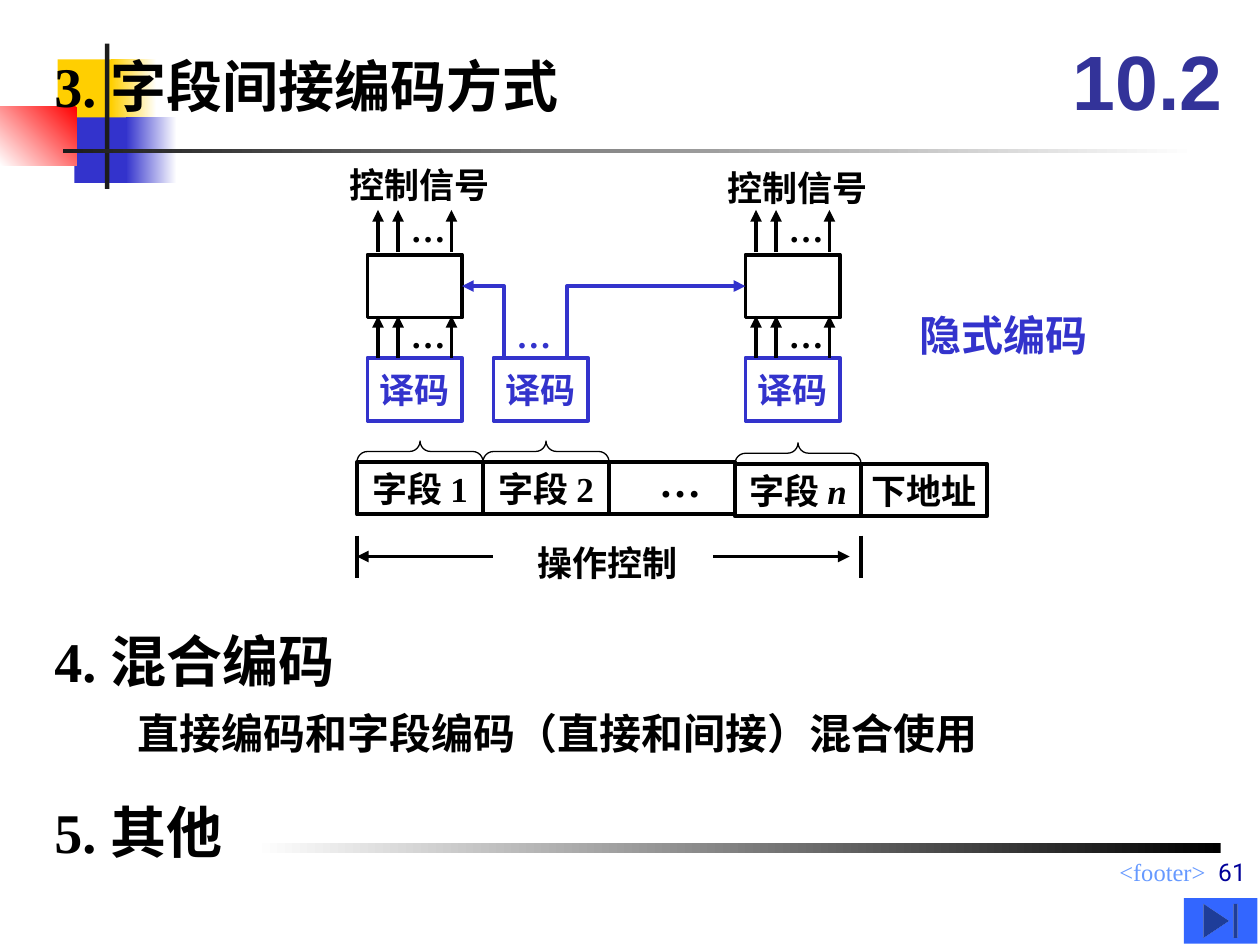
from lxml import etree
from pptx import Presentation
from pptx.dml.color import RGBColor
from pptx.enum.shapes import MSO_CONNECTOR, MSO_SHAPE
from pptx.enum.text import MSO_ANCHOR as Anchor, PP_ALIGN as Align
from pptx.oxml.ns import qn
from pptx.util import Pt

BLACK = RGBColor(0x00, 0x00, 0x00)
WHITE = RGBColor(0xFF, 0xFF, 0xFF)
CHARCOAL = RGBColor(0x1C, 0x1C, 0x1C)
YELLOW = RGBColor(0xFF, 0xCF, 0x01)
RED = RGBColor(0xFF, 0x00, 0x00)
BLUE = RGBColor(0x33, 0x33, 0xCC)
INDIGO = RGBColor(0x33, 0x33, 0x99)
NAVY = RGBColor(0x00, 0x00, 0x99)
SKY = RGBColor(0x66, 0x99, 0xFF)
BUTTON_BLUE = RGBColor(0x33, 0x66, 0xFF)

SERIF = "Times New Roman"
HEADING_FONT = "DejaVu Sans"

CELL_WIDTH, CELL_HEIGHT = 72, 30
FIELDS_LEFT, FIELDS_TOP = 204, 264
BOX_WIDTH, BOX_HEIGHT = 54, 36
DECODER_TOP, UPPER_TOP = 204.5, 145.5
DECODER_LEFTS = (210, 282, 426)


def write(shape, text, size, color, font=SERIF, bold=True, align=Align.LEFT):
    paragraph = shape.text_frame.paragraphs[0]
    paragraph.alignment = align
    paragraph.font.size = Pt(size)
    paragraph.font.bold = bold
    paragraph.font.color.rgb = color
    paragraph.font.name = font
    if text:
        paragraph.add_run().text = text
    return paragraph


def add_text(slide, text, left, top, width, height, size=20, color=BLACK,
             wrap=False, anchor=Anchor.TOP, **style):
    box = slide.shapes.add_textbox(Pt(left), Pt(top), Pt(width), Pt(height))
    box.text_frame.word_wrap = wrap
    box.text_frame.vertical_anchor = anchor
    return write(box, text, size, color, **style)


def add_heading(slide, number, title, top):
    paragraph = add_text(slide, number + " ", 24, top, 600, 46, size=32, wrap=True)
    run = paragraph.add_run()
    run.text = title
    run.font.name = HEADING_FONT


def add_bar(slide, left, top, width, height, color, end_color=None, angle=180):
    bar = slide.shapes.add_shape(MSO_SHAPE.RECTANGLE, Pt(left), Pt(top), Pt(width), Pt(height))
    bar.shadow.inherit = False
    bar.line.fill.background()
    if end_color is None:
        bar.fill.solid()
        bar.fill.fore_color.rgb = color
    else:
        bar.fill.gradient()
        bar.fill.gradient_angle = angle
        for stop, stop_color in zip(bar.fill.gradient_stops, (color, end_color)):
            stop.color.rgb = stop_color


def outline(shape, color, width=2.25):
    shape.shadow.inherit = False
    shape.fill.background()
    shape.line.color.rgb = color
    shape.line.width = Pt(width)


def add_box(slide, left, top, width, height, text="", color=BLACK):
    box = slide.shapes.add_shape(MSO_SHAPE.RECTANGLE, Pt(left), Pt(top), Pt(width), Pt(height))
    outline(box, color)
    box.text_frame.word_wrap = False
    box.text_frame.vertical_anchor = Anchor.MIDDLE
    return write(box, text, 20, color, align=Align.CENTER)


def add_brace(slide, left, bottom):
    depth = 12
    middle_x, middle_y = left + CELL_WIDTH / 2, bottom - depth / 2
    brace = slide.shapes.add_shape(MSO_SHAPE.LEFT_BRACE, Pt(middle_x - depth / 2),
                                   Pt(middle_y - CELL_WIDTH / 2), Pt(depth), Pt(CELL_WIDTH))
    brace.rotation = 90
    brace.adjustments[0] = 0.5
    outline(brace, BLACK, 0.75)


def add_arrowhead(line):
    etree.SubElement(line.line._get_or_add_ln(), qn("a:tailEnd"), type="triangle")


def add_line(slide, start_x, start_y, end_x, end_y, arrow=False):
    line = slide.shapes.add_connector(MSO_CONNECTOR.STRAIGHT, Pt(start_x), Pt(start_y),
                                      Pt(end_x), Pt(end_y))
    line.line.color.rgb = BLACK
    line.line.width = Pt(2.25)
    if arrow:
        add_arrowhead(line)
    etree.SubElement(line._element.spPr, qn("a:effectLst"))


def add_bent_arrow(slide, start_x, end_x):
    bottom, top = 205, UPPER_TOP + BOX_HEIGHT / 2
    builder = slide.shapes.build_freeform(Pt(start_x), Pt(bottom))
    builder.add_line_segments([(Pt(start_x), Pt(top)), (Pt(end_x), Pt(top))], close=False)
    arrow = builder.convert_to_shape()
    outline(arrow, BLUE)
    add_arrowhead(arrow)


def add_signal_arrows(slide, box_left, bottom):
    for offset in (6, 17.5, 48):
        add_line(slide, box_left + offset, bottom, box_left + offset, bottom - 24, arrow=True)
    add_text(slide, "…", box_left + 17.5, bottom - 28.75, 34.5, 31.5)


def add_decoration(slide):
    add_bar(slide, 33, 34, 34.5, 37.5, YELLOW)
    add_bar(slide, 63.5, 34, 26, 37.5, WHITE, YELLOW)
    add_bar(slide, 42.5, 67, 33, 37.5, BLUE)
    add_bar(slide, 72, 67, 29, 37.5, WHITE, BLUE)
    add_bar(slide, 0, 61, 44, 33.5, RED, WHITE, angle=225)
    add_bar(slide, 60, 25, 2.5, 83, CHARCOAL)
    add_bar(slide, 36, 85, 648, 2.5, WHITE, CHARCOAL)
    add_bar(slide, 145.5, 481.5, 552, 6, BLACK, WHITE)


def add_decoders(slide):
    for left in DECODER_LEFTS:
        add_box(slide, left, DECODER_TOP, BOX_WIDTH, BOX_HEIGHT, "译码", BLUE)
    first, second, last = DECODER_LEFTS
    for left, label_top in ((first, 90), (last, 91.5)):
        add_box(slide, left, UPPER_TOP, BOX_WIDTH, BOX_HEIGHT)
        add_signal_arrows(slide, left, DECODER_TOP)
        add_signal_arrows(slide, left, 144)
        add_text(slide, "控制信号", left - 17.5, label_top, 94.5, 31.5)
    # Second decoder drives both upper boxes
    add_bent_arrow(slide, second + 6, first + BOX_WIDTH)
    add_bent_arrow(slide, second + 42, last)
    add_text(slide, "…", second + 6, 175.75, 34.5, 31.5, color=BLUE)


def add_fields(slide):
    # Text, downward shift, whether a brace joins the field to its decoder
    fields = (("字段 1", 0, True), ("字段 2", 0, True), ("", 0, False),
              ("字段 ", 1, True), ("下地址", 1, False))
    for index, (text, shift, braced) in enumerate(fields):
        left, top = FIELDS_LEFT + index * CELL_WIDTH, FIELDS_TOP + shift
        paragraph = add_box(slide, left, top, CELL_WIDTH, CELL_HEIGHT, text)
        if text == "字段 ":
            run = paragraph.add_run()
            run.text = "n"
            run.font.italic = True
        if braced:
            add_brace(slide, left, top)
    add_text(slide, "…", 369.5, 256.5, 38, 36, size=24)

    # Extent of the operation control part
    for x in (FIELDS_LEFT, FIELDS_LEFT + 4 * CELL_WIDTH):
        add_line(slide, x, 306, x, 330.5)
    add_line(slide, 281.5, 318, 204, 318, arrow=True)
    add_line(slide, 407.5, 318, 485.5, 318, arrow=True)
    add_text(slide, "操作控制", 300, 306, 94.5, 31.5)


def add_end_button(slide):
    button = slide.shapes.add_shape(MSO_SHAPE.ACTION_BUTTON_END, Pt(676.5), Pt(513.25),
                                    Pt(42), Pt(26))
    button.shadow.inherit = False
    button.fill.solid()
    button.fill.fore_color.rgb = BUTTON_BLUE
    button.line.fill.background()


def main():
    presentation = Presentation()
    presentation.slide_width, presentation.slide_height = Pt(720), Pt(540)
    slide = presentation.slides.add_slide(presentation.slide_layouts[6])

    add_decoration(slide)

    # Headings and body text
    add_heading(slide, "3.", "字段间接编码方式", 26)
    add_heading(slide, "4.", "混合编码", 354.5)
    add_heading(slide, "5.", "其他", 452)
    add_text(slide, "直接编码和字段编码（直接和间接）混合使用", 71.5, 401, 601, 36,
             size=24, wrap=True, font=HEADING_FONT)
    add_text(slide, "10.2", 606, 12.5, 114, 66, size=44, color=INDIGO, wrap=True,
             anchor=Anchor.MIDDLE, font="Arial")
    add_text(slide, "隐式编码", 518.5, 173.5, 170, 36, size=24, color=BLUE, wrap=True)

    # Encoding diagram
    add_decoders(slide)
    add_fields(slide)

    # Footer
    add_text(slide, "<footer>", 282, 486, 414, 19, size=14, color=SKY, wrap=True,
             bold=False, align=Align.RIGHT)
    add_text(slide, "61", 375, 474, 344, 36, size=14, color=NAVY, wrap=True,
             anchor=Anchor.BOTTOM, font="Roboto", bold=False, align=Align.RIGHT)
    add_end_button(slide)

    presentation.save("out.pptx")


if __name__ == "__main__":
    main()
